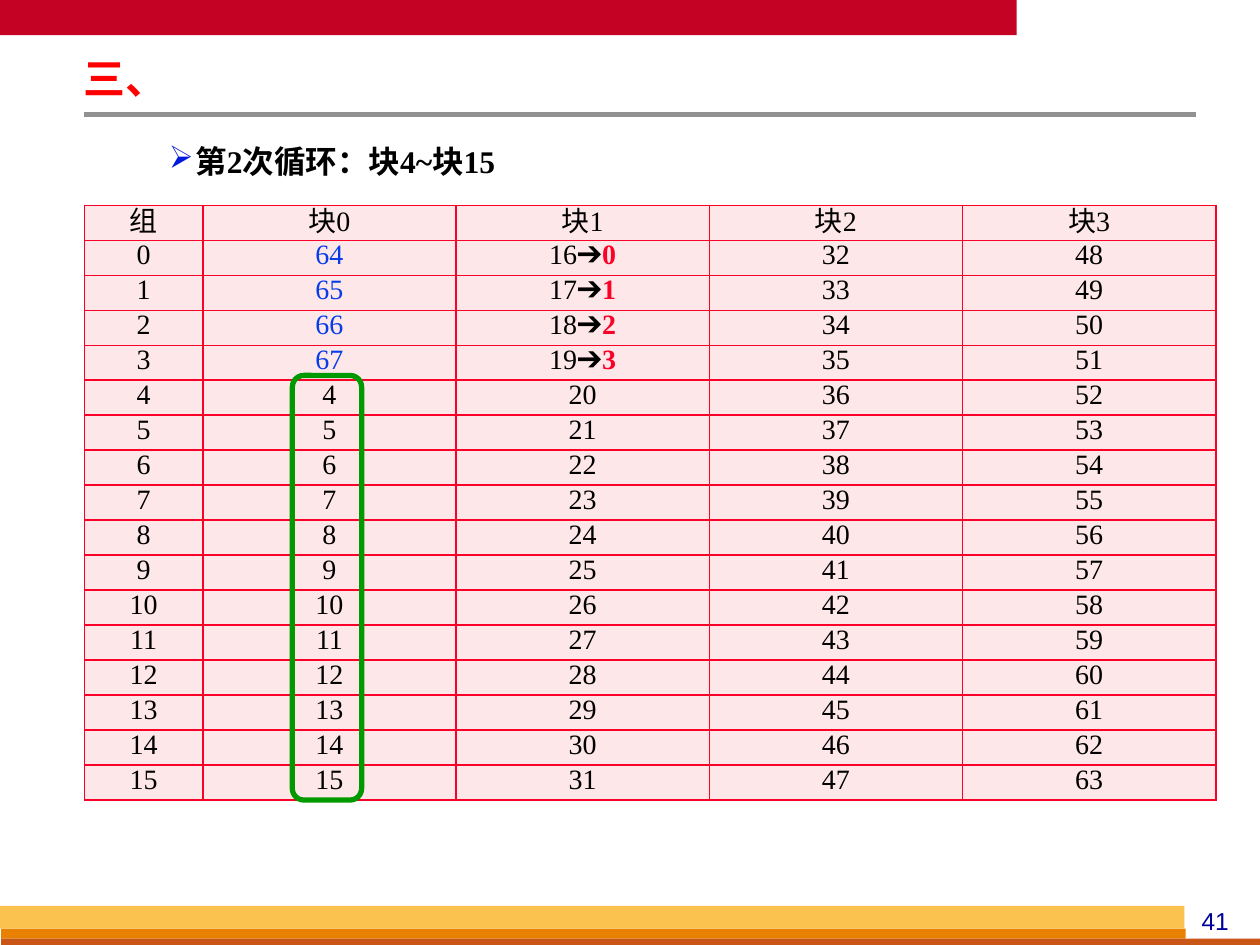
import pptx
import pptx.dml.color
import pptx.enum.shapes
import pptx.enum.text
import pptx.oxml
import pptx.oxml.ns
import pptx.util
from pptx.util import Inches

RGBColor = pptx.dml.color.RGBColor
SHAPES = pptx.enum.shapes.MSO_SHAPE
ALIGN = pptx.enum.text.PP_ALIGN
ANCHOR = pptx.enum.text.MSO_ANCHOR

CRIMSON = RGBColor(0xC3, 0x02, 0x24)
GRAY = RGBColor(0x91, 0x91, 0x91)
ORANGE = RGBColor(0xE8, 0x80, 0x00)
BROWN = RGBColor(0xC9, 0x56, 0x16)
GOLD = RGBColor(0xFC, 0xC2, 0x4F)
NAVY = RGBColor(0x00, 0x00, 0x99)
RED = RGBColor(0xFF, 0x00, 0x00)
BULLET_BLUE = RGBColor(0x00, 0x1A, 0xDC)
BLACK = RGBColor(0x00, 0x00, 0x00)
NEW_BLUE = RGBColor(0x06, 0x3D, 0xE8)
TABLE_RED = RGBColor(0xFC, 0x01, 0x28)
PINK = RGBColor(0xFE, 0xE7, 0xE8)
GREEN = RGBColor(0x00, 0x99, 0x00)

TITLE = "三、"
LOOP_HEADING = "第2次循环：块4~块15"
PAGE_NUMBER = "41"
HEADERS = ["组", "块0", "块1", "块2", "块3"]
GROUPS = 16
REPLACED_GROUPS = 4
COLUMN_WIDTHS = [0.94] + [2.01] * 4
ROW_HEIGHT = 4.72 / (GROUPS + 1)

BARS = [  # left, top, width, height, colour
    (0, 0, 8.07, 0.28, CRIMSON),
    (0.01, 7.37, 9.4, 0.08, ORANGE),
    (0.01, 7.45, 9.99, 0.05, BROWN),
    (0, 7.19, 9.4, 0.18, GOLD),
]


def add_drawing_xml(parent, xml):
    namespace = pptx.oxml.ns.nsdecls("a")
    tag, rest = xml.split(" ", 1)
    parent.append(pptx.oxml.parse_xml(f"{tag} {namespace} {rest}"))


def write_text(frame, text, size=16, font="Times New Roman", color=BLACK, bold=False,
               align=ALIGN.LEFT, spacing=None, bullet=None):
    """Fill the first paragraph; text is a string or a list of (text, colour, bold)."""
    para = frame.paragraphs[0]
    if bullet:
        properties = para._p.get_or_add_pPr()
        properties.set("marL", str(Inches(0.73)))
        properties.set("indent", str(Inches(-0.21)))
        add_drawing_xml(properties, f'<a:buClr ><a:srgbClr val="{BULLET_BLUE}"/></a:buClr>')
        add_drawing_xml(properties, f'<a:buChar char="{bullet}"/>')
    para.alignment = align
    if spacing:
        para.line_spacing = spacing
    pieces = [(text, color, bold)] if isinstance(text, str) else text
    for words, piece_color, piece_bold in pieces:
        span = para.add_run()
        span.text = words
        span.font.name = font
        span.font.size = pptx.util.Pt(size)
        span.font.bold = piece_bold
        span.font.color.rgb = piece_color


def add_text(page, place, text, margins=(0.07, 0.03, 0.07, 0.03), anchor=ANCHOR.MIDDLE, **style):
    frame = page.shapes.add_textbox(*map(Inches, place)).text_frame
    frame.word_wrap = True
    frame.vertical_anchor = anchor
    frame.margin_left, frame.margin_top, frame.margin_right, frame.margin_bottom = map(Inches, margins)
    write_text(frame, text, **style)


def add_bar(page, left, top, width, height, color):
    bar = page.shapes.add_shape(SHAPES.RECTANGLE, *map(Inches, (left, top, width, height)))
    bar.shadow.inherit = False
    bar.fill.solid()
    bar.fill.fore_color.rgb = color
    bar.line.fill.background()


def group_row(group):
    """Cell contents of one cache group after the second loop."""
    blocks = [group + GROUPS * column for column in range(5)]
    if group < REPLACED_GROUPS:
        first = [(str(blocks[4]), NEW_BLUE, False)]
        second = [(f"{blocks[1]}➔", BLACK, False), (str(group), TABLE_RED, True)]
    else:
        first, second = str(blocks[0]), str(blocks[1])
    return [str(group), first, second, str(blocks[2]), str(blocks[3])]


def format_cell(cell, text):
    cell.fill.solid()
    cell.fill.fore_color.rgb = PINK
    cell.vertical_anchor = ANCHOR.MIDDLE
    cell.margin_left = cell.margin_right = Inches(0.1)
    cell.margin_top = cell.margin_bottom = 0
    write_text(cell.text_frame, text, align=ALIGN.CENTER, spacing=0.75)
    properties = cell._tc.get_or_add_tcPr()
    fill = properties[0]
    for side in ("lnL", "lnR", "lnT", "lnB"):
        add_drawing_xml(properties, f'<a:{side} w="12700"><a:solidFill>'
                        f'<a:srgbClr val="{TABLE_RED}"/></a:solidFill></a:{side}>')
    properties.append(fill)  # the schema wants the fill after the borders


def add_block_table(page):
    rows = [HEADERS] + [group_row(group) for group in range(GROUPS)]
    table = page.shapes.add_table(
        len(rows), len(HEADERS), Inches(0.67), Inches(1.63),
        Inches(sum(COLUMN_WIDTHS)), Inches(ROW_HEIGHT * len(rows))).table
    for column, width in zip(table.columns, COLUMN_WIDTHS):
        column.width = Inches(width)
    for row, texts in zip(table.rows, rows):
        row.height = Inches(ROW_HEIGHT)
        for cell, text in zip(row.cells, texts):
            format_cell(cell, text)


def main():
    deck = pptx.Presentation()
    deck.slide_width, deck.slide_height = Inches(10), Inches(7.5)
    page = deck.slides.add_slide(deck.slide_layouts[6])

    for bar in BARS:
        add_bar(page, *bar)
    rule = page.shapes.add_connector(pptx.enum.shapes.MSO_CONNECTOR.STRAIGHT,
                                     *map(Inches, (0.67, 0.91, 9.49, 0.91)))
    rule.line.color.rgb = GRAY
    rule.line.width = pptx.util.Pt(3)
    add_drawing_xml(rule._element.spPr, "<a:effectLst />")

    add_text(page, (9.33, 7.14, 0.63, 0.33), PAGE_NUMBER, size=14, font="Arial",
             color=NAVY, align=ALIGN.CENTER)
    add_text(page, (0.59, 0.44, 5.75, 0.41), TITLE, size=24, color=RED, bold=True, spacing=0.87)
    add_text(page, (0.75, 0.99, 8.58, 0.42), LOOP_HEADING, margins=(0.07, 0.08, 0.07, 0.03),
             anchor=ANCHOR.TOP, size=18, bold=True, spacing=1.2, bullet="➢")
    add_block_table(page)

    highlight = page.shapes.add_shape(SHAPES.ROUNDED_RECTANGLE,
                                      *map(Inches, (2.32, 2.98, 0.55, 3.37)))
    highlight.shadow.inherit = False
    highlight.fill.background()
    highlight.line.color.rgb = GREEN
    highlight.line.width = pptx.util.Pt(3)

    deck.save("out.pptx")


if __name__ == "__main__":
    main()
